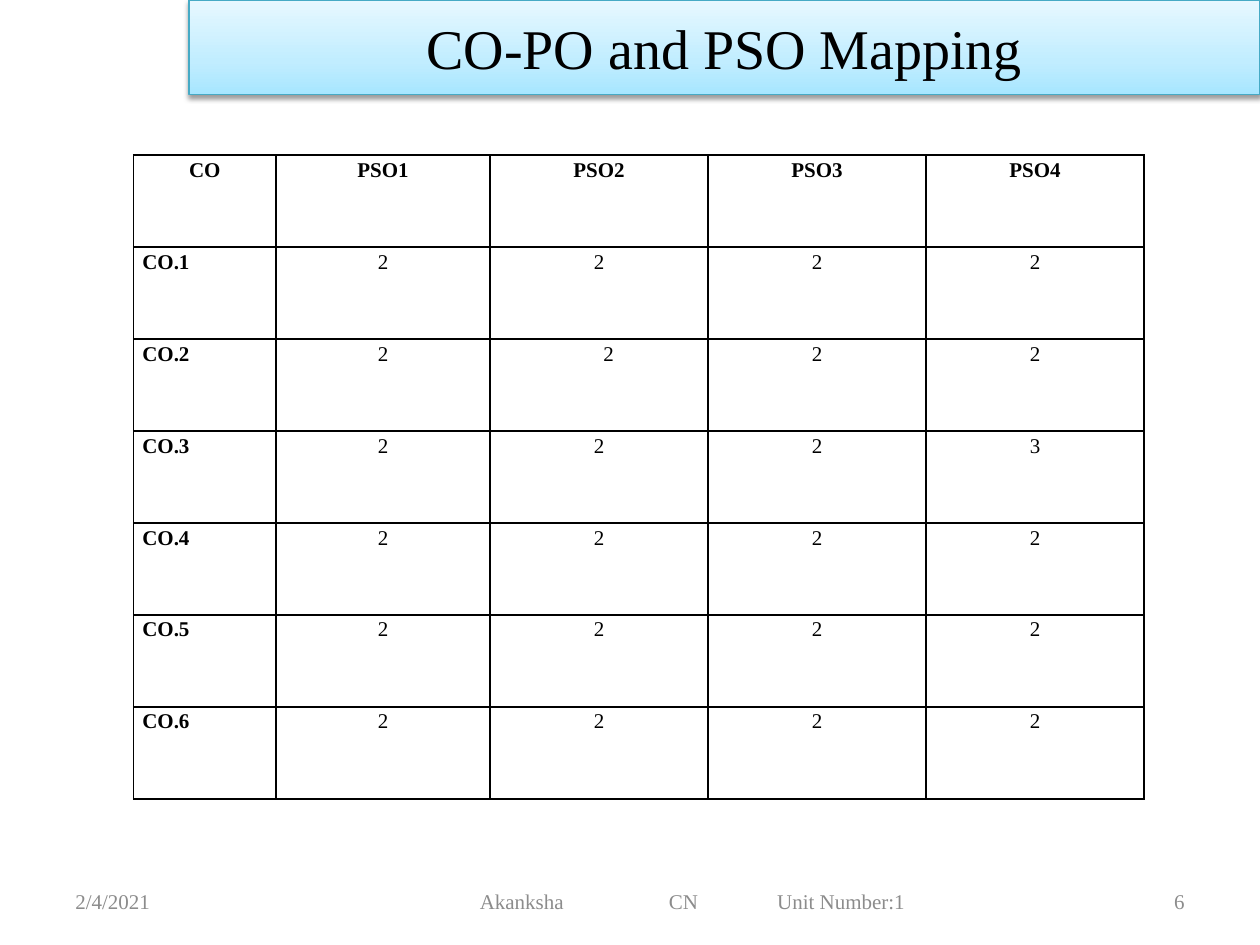
import pptx
import pptx.dml.color
import pptx.enum.text
import pptx.oxml
import pptx.oxml.ns
import pptx.util

Inches = pptx.util.Inches
Pt = pptx.util.Pt
ALIGN = pptx.enum.text.PP_ALIGN
ANCHOR = pptx.enum.text.MSO_ANCHOR
NS = pptx.oxml.ns.nsdecls("a")

HUES = {"ink": "000000", "gray": "8C8C8C", "edge": "46AAC5",
        "low": "A7E6FF", "mid": "C1EDFF", "high": "E7F8FF"}
HEADS = ["CO", "PSO1", "PSO2", "PSO3", "PSO4"]
MARKS = [[2, 2, 2, 2], [2, 2, 2, 2], [2, 2, 2, 3],
         [2, 2, 2, 2], [2, 2, 2, 2], [2, 2, 2, 2]]
WIDTHS = [1.13, 1.7, 1.73, 1.73, 1.73]
ROW = 0.73


def color(name):
    return pptx.dml.color.RGBColor.from_string(HUES[name])


def assign(thing, values):
    for key, value in values.items():
        setattr(thing, key, value)


def write(frame, text, size, hue="ink", bold=False, **form):
    """Put one styled paragraph in the frame; form holds paragraph values."""
    para = frame.paragraphs[0]
    run = para.add_run()
    run.text = text
    assign(para, form)
    assign(run.font, {"name": "Times New Roman", "size": Pt(size), "bold": bold})
    run.font.color.rgb = color(hue)
    return para


def add_title(slide, text):
    title = slide.shapes.title
    assign(title, {"left": Inches(1.5), "top": Inches(0),
                   "width": Inches(8.5), "height": Inches(0.75)})
    title.fill.gradient()
    title.fill.gradient_angle = 90
    props = title.fill._xPr
    stops = props.find(".//" + pptx.oxml.ns.qn("a:gsLst"))
    for stop in list(stops):
        stops.remove(stop)
    for place, hue in [(0, "low"), (35, "mid"), (100, "high")]:
        stops.append(pptx.oxml.parse_xml(
            f'<a:gs {NS} pos="{place * 1000}"><a:srgbClr val="{HUES[hue]}"/></a:gs>'))
    title.line.color.rgb = color("edge")
    title.line.width = Pt(0.75)
    props.append(pptx.oxml.parse_xml(
        f'<a:effectLst {NS}><a:outerShdw blurRad="{Pt(3.1)}" dist="{Pt(1.6)}" '
        f'dir="5400000" rotWithShape="0"><a:srgbClr val="{HUES["ink"]}">'
        '<a:alpha val="38000"/></a:srgbClr></a:outerShdw></a:effectLst>'))
    title.text_frame.vertical_anchor = ANCHOR.MIDDLE
    write(title.text_frame, text, 32, alignment=ALIGN.CENTER)


def add_edges(cell):
    props = cell._tc.get_or_add_tcPr()
    for side in "LRTB":
        props.append(pptx.oxml.parse_xml(
            f'<a:ln{side} {NS} w="{Pt(1)}"><a:solidFill>'
            f'<a:srgbClr val="{HUES["ink"]}"/></a:solidFill></a:ln{side}>'))


def add_grid(slide):
    rows = [HEADS] + [[f"CO.{n}"] + marks for n, marks in enumerate(MARKS, 1)]
    frame = slide.shapes.add_table(
        len(rows), len(HEADS), Inches(1.06), Inches(1.23),
        Inches(sum(WIDTHS)), Inches(ROW * len(rows)))
    grid = frame.table
    assign(grid, {"first_row": False, "horz_banding": False})
    for col, width in zip(grid.columns, WIDTHS):
        col.width = Inches(width)
    for r, row in enumerate(rows):
        grid.rows[r].height = Inches(ROW)
        for c, value in enumerate(row):
            cell = grid.cell(r, c)
            assign(cell, {"margin_left": Inches(0.07), "margin_right": Inches(0.07),
                          "margin_top": 0, "margin_bottom": 0})
            add_edges(cell)
            cell.fill.background()
            indented = (r, c) == (2, 2)
            left = indented or (r > 0 and c == 0)
            para = write(cell.text_frame, str(value), 12, bold=r == 0 or c == 0,
                         alignment=ALIGN.LEFT if left else ALIGN.CENTER,
                         line_spacing=1.15, space_after=Pt(10))
            if indented:
                para._p.get_or_add_pPr().set("marL", str(Inches(0.83)))


def add_note(slide, text, left, width, align=ALIGN.LEFT, tabs=()):
    """Add a footer text, with tab stops in inches."""
    box = slide.shapes.add_textbox(
        Inches(left), Inches(6.95), Inches(width), Inches(0.4))
    assign(box.text_frame, {"word_wrap": True, "vertical_anchor": ANCHOR.MIDDLE})
    para = write(box.text_frame, text, 12, "gray", alignment=align)
    if tabs:
        stops = "".join(f'<a:tab pos="{Inches(t)}" algn="l"/>' for t in tabs)
        para._p.get_or_add_pPr().append(
            pptx.oxml.parse_xml(f"<a:tabLst {NS}>{stops}</a:tabLst>"))


def main():
    deck = pptx.Presentation()
    assign(deck, {"slide_width": Inches(10), "slide_height": Inches(7.5)})
    slide = deck.slides.add_slide(deck.slide_layouts[5])
    add_note(slide, "2/4/2021", 0.5, 2.33)
    add_note(slide, "\tAkanksha\tCN\tUnit Number:1", 2.75, 5.5,
             tabs=(0.96, 2.46, 3.32))
    add_note(slide, "6", 7.17, 2.33, ALIGN.RIGHT)
    add_title(slide, "CO-PO and PSO Mapping")
    add_grid(slide)
    deck.save("out.pptx")


if __name__ == "__main__":
    main()
